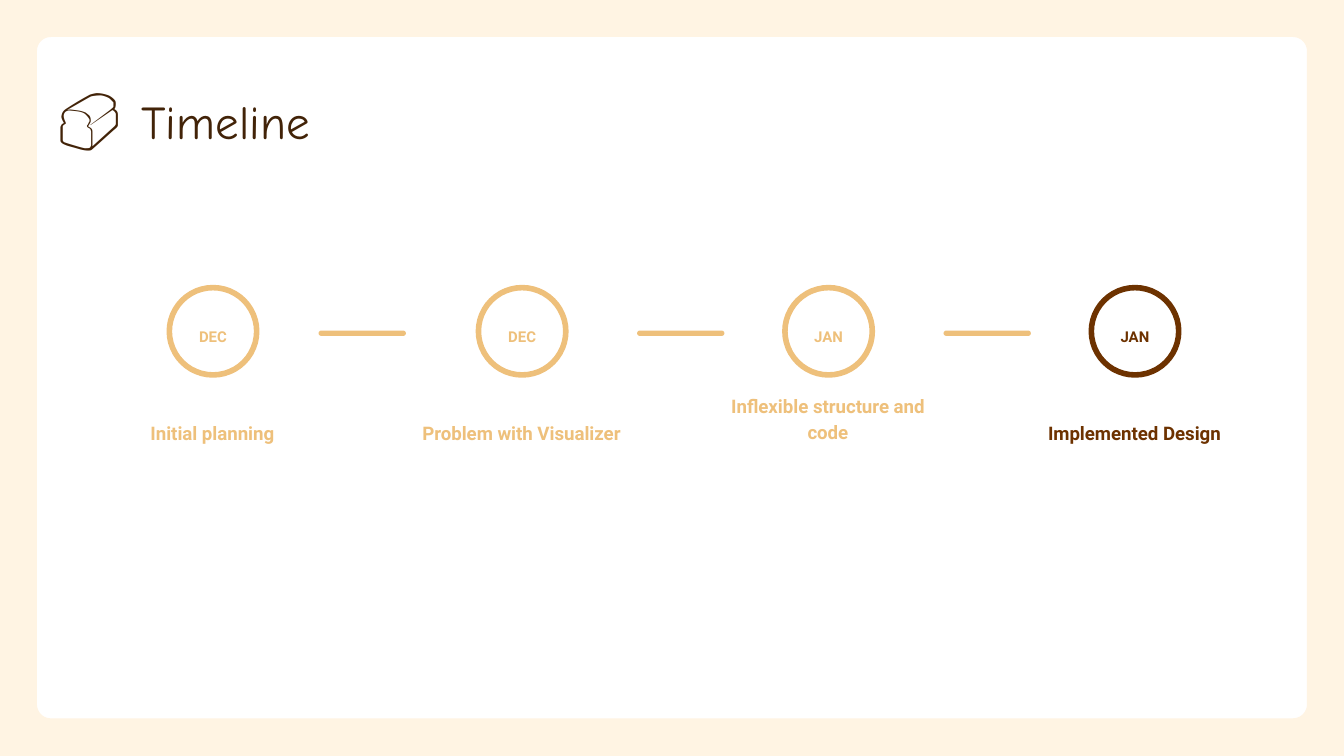
"""Build a project timeline slide with four milestones."""
from pptx import Presentation
from pptx.dml.color import RGBColor
from pptx.enum import shapes as sh, text as tx
from pptx.util import Inches, Pt

CREAM = RGBColor(0xFF, 0xF4, 0xE3)
TAN = RGBColor(0xEE, 0xC0, 0x7B)
BROWN = RGBColor(0x6D, 0x32, 0x00)
DARK = RGBColor(0x42, 0x23, 0x08)
KIND = sh.MSO_SHAPE

FRAMES = [(0, -0.01, 10, 5.63), (0.15, 0.15, 9.7, 5.32)]
TITLE = [("🍞 ", 32.4), ("Timeline", 25.2)]
STEPS = [
    (1.26, "DEC", "Initial planning", TAN),
    (3.56, "DEC", "Problem with Visualizer", TAN),
    (5.84, "JAN", "Inflexible structure and code", TAN),
    (8.12, "JAN", "Implemented Design", BROWN),
]
BARS = [2.37, 4.74, 7.02]
SIZE = 0.65
WIDE = Inches(10)
MONTH = {"line_spacing": 1.15, "space_after": Pt(16),
         "alignment": tx.PP_ALIGN.CENTER}
LABEL = {"line_spacing": 1.15, "alignment": tx.PP_ALIGN.CENTER}


def style(item, form):
    for key, val in form.items():
        setattr(item, key, val)


def draw(home, kind, box, fill=None, line=None, width=0, adj=None):
    part = home.add_shape(kind, *map(Inches, box))
    part.shadow.inherit = False
    if adj is not None:
        part.adjustments[0] = adj
    if fill is not None:
        part.fill.solid()
        part.fill.fore_color.rgb = fill
    else:
        part.fill.background()
    if line is not None:
        part.line.color.rgb = line
        part.line.width = Pt(width)
    else:
        part.line.fill.background()


def write(home, box, runs, font, color, bold=False, form={}, anchor="TOP"):
    frame = home.add_textbox(*map(Inches, box)).text_frame
    sides = ("left", "top", "right", "bottom")
    style(frame, {f"margin_{side}": Inches(0.1) for side in sides})
    style(frame, {"word_wrap": True,
                  "vertical_anchor": tx.MSO_ANCHOR[anchor]})
    para = frame.paragraphs[0]
    style(para, form)
    for words, size in runs:
        run = para.add_run()
        run.text = words
        style(run.font, {"name": font, "size": Pt(size), "bold": bold})
        run.font.color.rgb = color


def main():
    deck = Presentation()
    style(deck, {"slide_width": WIDE, "slide_height": WIDE * 9 // 16})
    slide = deck.slides.add_slide(deck.slide_layouts[6])
    home = slide.shapes
    for box in FRAMES:
        draw(home, KIND.ROUNDED_RECTANGLE, box, None, CREAM, 18, 0.043)
    write(home, (0.34, 0.49, 9.32, 0.63), TITLE, "Comic Neue", DARK)
    for left in BARS:
        draw(home, KIND.ROUNDED_RECTANGLE, (left, 2.46, SIZE, 0.04),
             TAN, adj=0.5)
    for left, month, label, color in STEPS:
        mid = left + SIZE / 2
        group = home.add_group_shape().shapes
        draw(group, KIND.OVAL, (left, 2.14, SIZE, SIZE), None, color, 3)
        write(group, (mid - 0.24, 2.34, 0.48, 0.35), [(month, 8)],
              "Roboto", color, True, MONTH)
        write(group, (mid - 0.94, 2.91, 1.87, 0.49), [(label, 10)],
              "Roboto", color, True, LABEL, "BOTTOM")
    deck.save("out.pptx")


if __name__ == "__main__":
    main()
